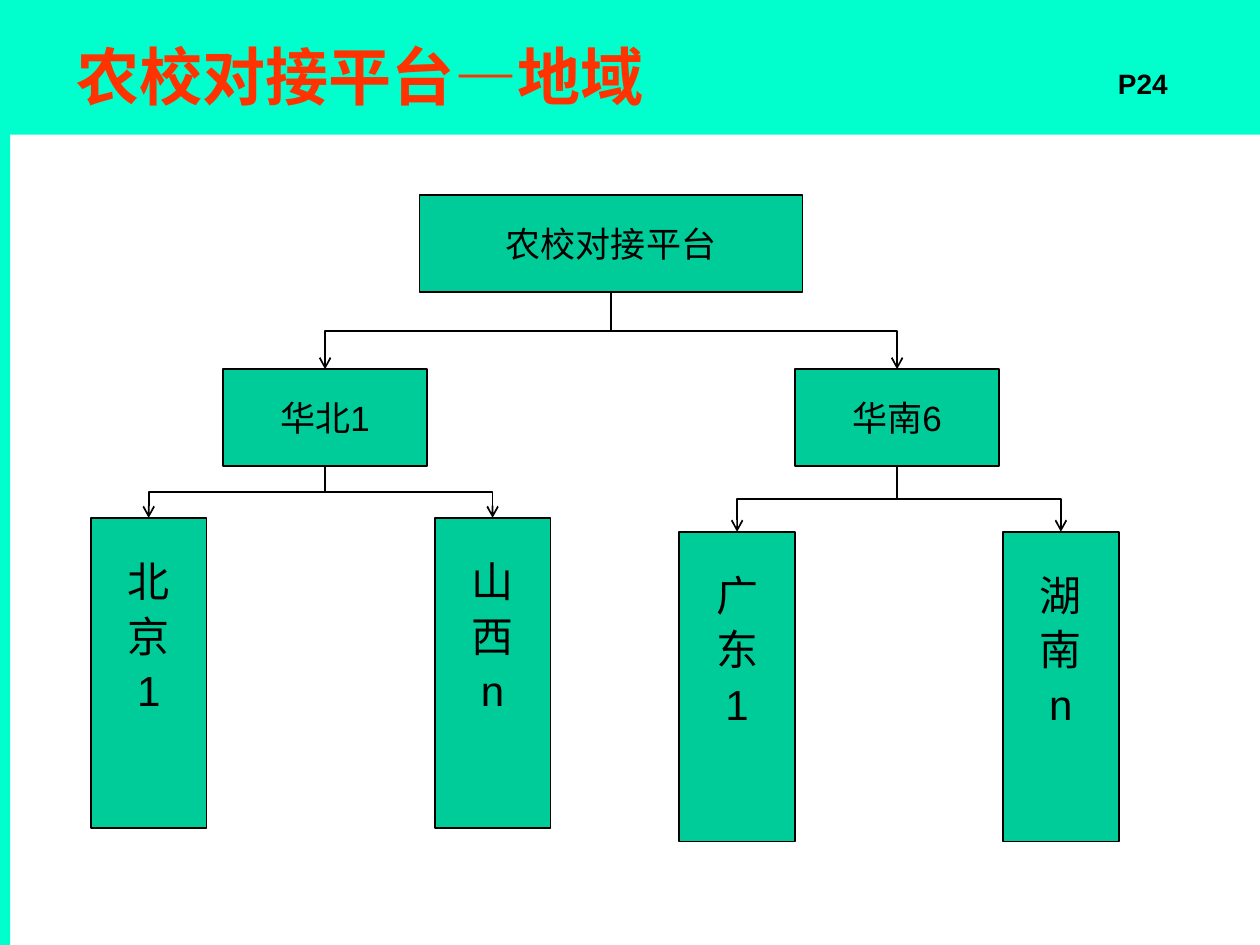
import pptx
import pptx.util
import pptx.dml.color
import pptx.enum.dml
import pptx.enum.shapes
import pptx.enum.text
import pptx.oxml.ns
import lxml.etree

Inches = pptx.util.Inches
Pt = pptx.util.Pt
MINT, GREEN, RED, BLACK = "00FFCC", "00CC99", "FF3300", "000000"
NODE_H = Inches(0.77)
LEAF_W, LEAF_H = Inches(0.92), Inches(2.46)


def rgb(value):
    return pptx.dml.color.RGBColor.from_string(value)


def style(p, size, color=BLACK, bold=False, align="CENTER"):
    p.alignment = pptx.enum.text.PP_ALIGN[align]
    for r in p.runs:
        r.font.name = "Arial"
        r.font.size = Pt(size)
        r.font.bold = bold
        r.font.color.rgb = rgb(color)


def add_rect(s, x, y, w, h, fill, line=None):
    sp = s.shapes.add_shape(pptx.enum.shapes.MSO_SHAPE.RECTANGLE, x, y, w, h)
    sp.shadow.inherit = False
    sp.fill.solid()
    sp.fill.fore_color.rgb = rgb(fill)
    if line:
        sp.line.color.rgb = rgb(line)
        sp.line.width = Pt(1)
    else:
        sp.line.fill.background()
    return sp


def add_node(s, x, y, w, h, text):
    sp = add_rect(s, x, y, w, h, GREEN, BLACK)
    tf = sp.text_frame
    tf.word_wrap = False
    tf.vertical_anchor = pptx.enum.text.MSO_ANCHOR.TOP
    tf.text = text
    return sp


def add_box(s, x, y, w, text):
    sp = add_node(s, x, y, w, NODE_H, text)
    p = sp.text_frame.paragraphs[0]
    p.line_spacing = 1.5
    style(p, 20)
    return sp


def add_leaf(s, x, y, text):
    sp = add_node(s, x, y, LEAF_W, LEAF_H, "\n".join(text))
    sp.text_frame.margin_top = Inches(0.48)
    for i, p in enumerate(sp.text_frame.paragraphs):
        p.line_spacing = Pt(16)
        p.space_before = Pt(15 if i else 0)
        style(p, 24)
    return sp


def add_link(s, parent, child):
    x1, y1 = parent.left + parent.width // 2, parent.top + parent.height
    x2, y2 = child.left + child.width // 2, child.top
    cx, cy = (x1 + x2) // 2, (y1 + y2) // 2
    half_w, half_h = abs(x2 - x1) // 2, (y2 - y1) // 2
    to_right = x2 > x1
    run = -half_h if to_right else half_h
    c = s.shapes.add_connector(pptx.enum.shapes.MSO_CONNECTOR.ELBOW,
                               cx - run, cy - half_w, cx + run, cy + half_w)
    c.line.color.rgb = rgb(BLACK)
    c.line.width = Pt(1)
    sp_pr = c.element.spPr
    sp_pr.xfrm.set("rot", str((270 if to_right else 90) * 60000))
    qn = pptx.oxml.ns.qn
    lxml.etree.SubElement(sp_pr.find(qn("a:ln")), qn("a:tailEnd"), type="arrow")
    lxml.etree.SubElement(sp_pr, qn("a:effectLst"))


def add_header(s, x, y, w, h, title, page):
    side = Inches(0.08)
    add_rect(s, x + side, y, w - side, Inches(1.07), MINT)
    add_rect(s, x, y, side, h, MINT)

    sp = s.shapes.title
    s.shapes.element.append(sp.element)
    sp.left, sp.top = x + Inches(0.51), y + Inches(0.15)
    sp.width, sp.height = Inches(7.98), Inches(0.89)
    tf = sp.text_frame
    tf.text = title
    tf.auto_size = pptx.enum.text.MSO_AUTO_SIZE.NONE
    tf.vertical_anchor = pptx.enum.text.MSO_ANCHOR.MIDDLE
    style(tf.paragraphs[0], 36, RED, True, "LEFT")

    tb = s.shapes.add_textbox(x + Inches(8.67), y + Inches(0.48), Inches(0.8), Inches(0.37))
    tb.text_frame.word_wrap = True
    tb.text_frame.text = page
    style(tb.text_frame.paragraphs[0], 16, bold=True)


def add_region(s, x, y, w, offset, drop, name, leaves):
    region = add_box(s, x + offset, y, Inches(1.62), name)
    step = (w - LEAF_W) // (len(leaves) - 1)
    for i, text in enumerate(leaves):
        leaf = add_leaf(s, x + i * step, y + NODE_H + drop, text)
        add_link(s, region, leaf)
    return region


def add_tree(s, x, y):
    root = add_box(s, x + Inches(2.61), y, Inches(3.04), "农校对接平台")
    regions = [
        (0, 3.65, 1.05, 0.41, "华北1", ("北京1", "山西n")),
        (4.67, 3.49, 0.92, 0.52, "华南6", ("广东1", "湖南n")),
    ]
    for left, w, offset, drop, name, leaves in regions:
        region = add_region(s, x + Inches(left), y + Inches(1.38), Inches(w),
                            Inches(offset), Inches(drop), name, leaves)
        add_link(s, root, region)


def main():
    prs = pptx.Presentation()
    prs.slide_width, prs.slide_height = Inches(10), Inches(7.5)
    s = prs.slides.add_slide(prs.slide_layouts[5])
    add_header(s, 0, 0, prs.slide_width, prs.slide_height, "农校对接平台—地域", "P24")
    add_tree(s, Inches(0.72), Inches(1.55))
    prs.save("out.pptx")


if __name__ == "__main__":
    main()
